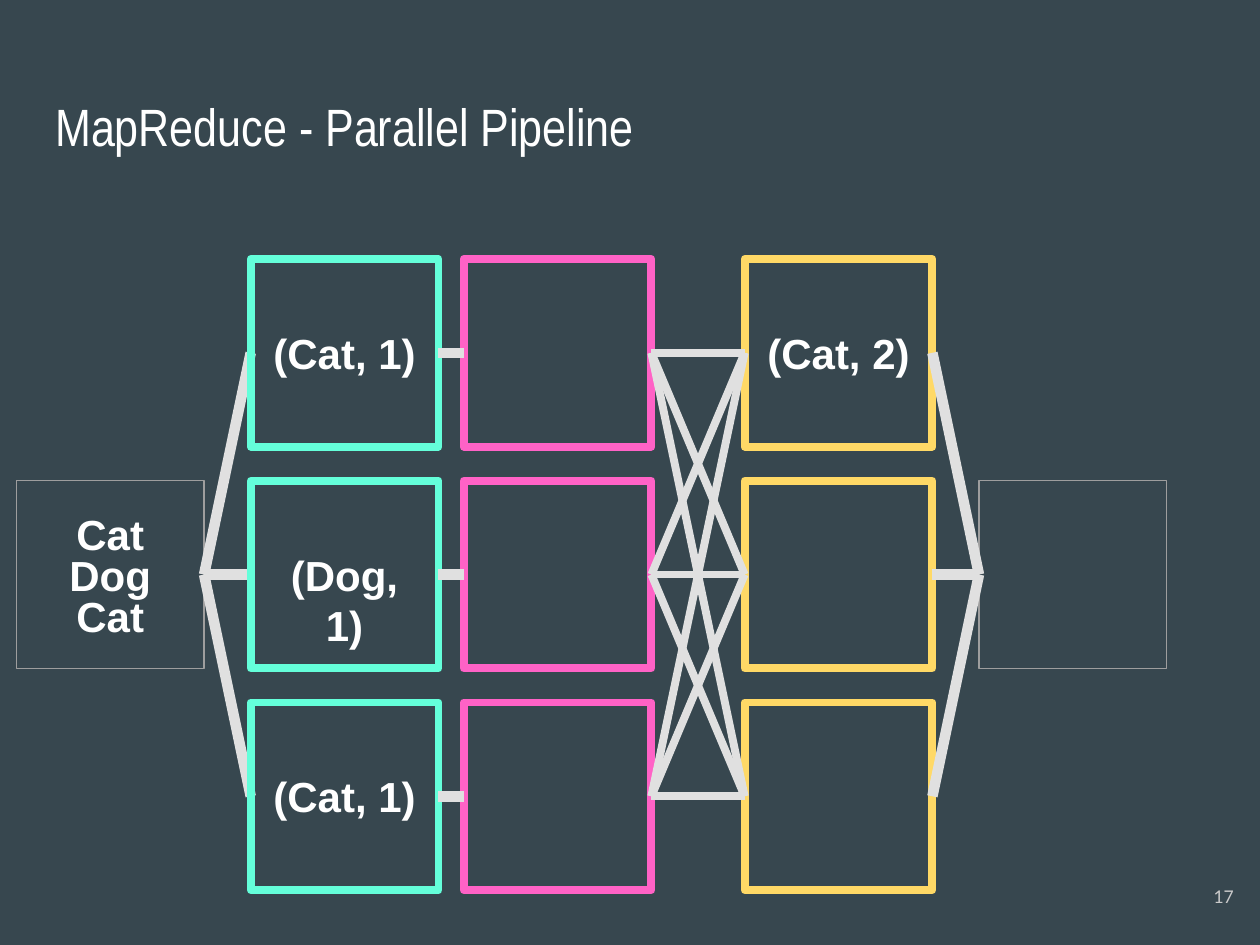
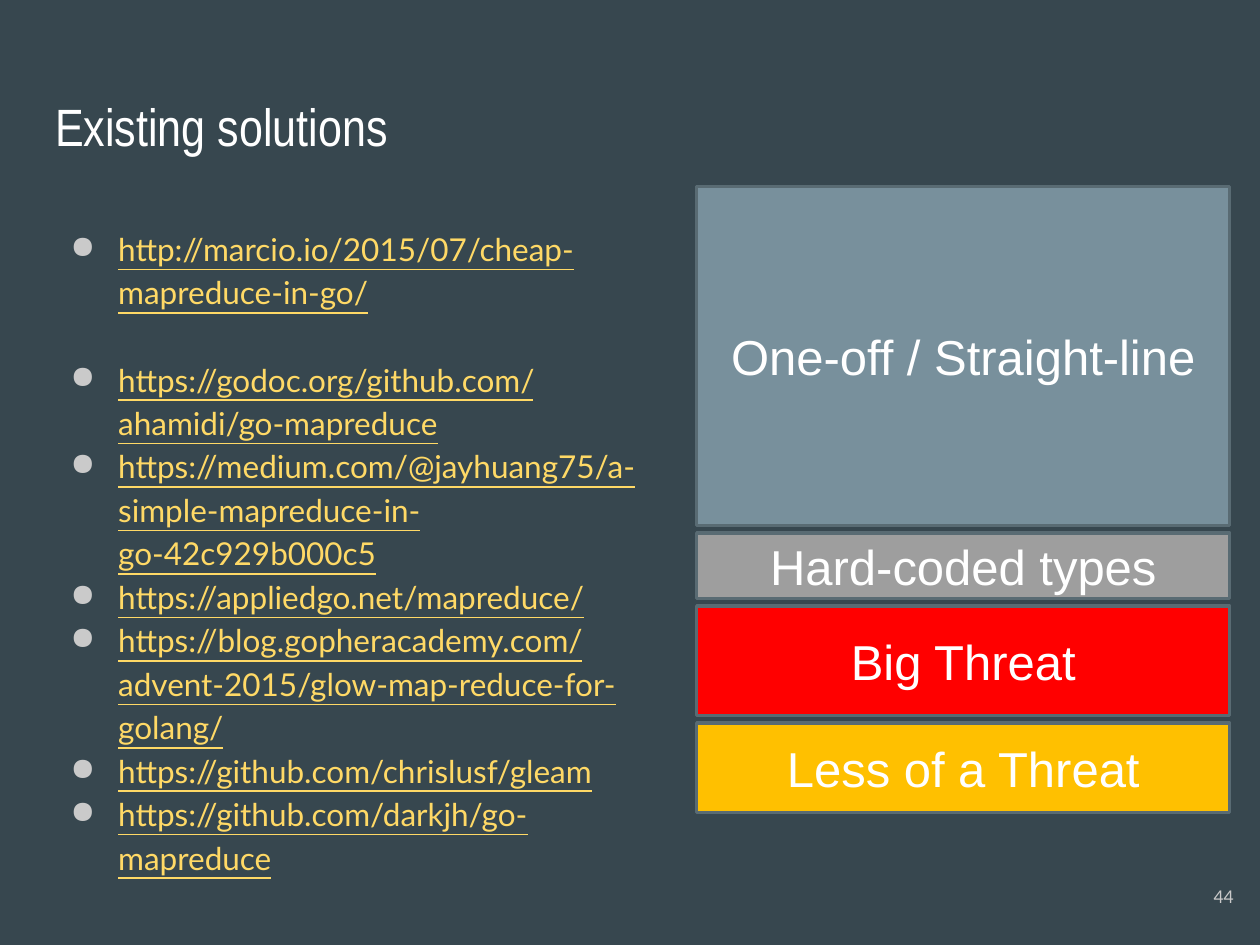
from itertools import product

from lxml.etree import SubElement
from pptx import Presentation
from pptx.dml.color import RGBColor
from pptx.enum.shapes import MSO_CONNECTOR as Connector, MSO_SHAPE as Preset
from pptx.enum.text import MSO_ANCHOR as Anchor, PP_ALIGN as Align
from pptx.oxml.ns import qn
from pptx.util import Inches, Pt

COLORS = {
    "background": "37474F",
    "text": "FFFFFF",
    "muted": "CACACA",
    "store": "9E9E9E",
    "map": "64FFDA",
    "shuffle": "FF62C6",
    "reduce": "FFD966",
    "flow": "E0E0E0",
    "link": "FFD966",
    "bar_line": "596B73",
    "one_off": "78909C",
    "hard_coded": "9E9E9E",
    "big_threat": "FF0000",
    "small_threat": "FFC000",
}

# The slide is a grid of 100 columns by 75 rows.
COLUMNS, ROWS = 100, 75
CELL = Inches(0.1)

# Pipeline: square stages in three lanes.
BOX = 14.9
LANES = [28 + 17.6 * lane for lane in range(3)]
MIDDLE = LANES[1:2]
STAGE_LEFT = {"source": 1.3, "map": 19.9, "shuffle": 36.8, "reduce": 59.1, "result": 77.7}
WORD_STEP = 3.25

LINKS = [
    "http://marcio.io/2015/07/cheap-mapreduce-in-go/",
    "https://godoc.org/github.com/ahamidi/go-mapreduce",
    "https://medium.com/@jayhuang75/a-simple-mapreduce-in-go-42c929b000c5",
    "https://appliedgo.net/mapreduce/",
    "https://blog.gopheracademy.com/advent-2015/glow-map-reduce-for-golang/",
    "https://github.com/chrislusf/gleam",
    "https://github.com/darkjh/go-mapreduce",
]
LINK_LINE = Pt(25)

BARS = [
    ("One-off / Straight-line", "one_off", 26.9),
    ("Hard-coded types", "hard_coded", 5.2),
    ("Big Threat", "big_threat", 8.7),
    ("Less of a Threat", "small_threat", 7.1),
]
BAR_LEFT, BAR_TOP, BAR_WIDTH, BAR_GAP = 55.3, 14.8, 42.3, 0.6


def cells(*counts):
    return [round(count * CELL) for count in counts]


def rgb(name):
    return RGBColor.from_string(COLORS[name])


def add_run(paragraph, text, size, color="text", font="Arial", bold=False):
    run = paragraph.add_run()
    run.text = text
    run.font.size = Pt(size)
    run.font.name = font
    run.font.bold = bold
    run.font.color.rgb = rgb(color)
    return run


def add_text_frame(slide, left, top, width, height, inset=0.1):
    frame = slide.shapes.add_textbox(*cells(left, top, width, height)).text_frame
    frame.word_wrap = True
    frame.margin_left = frame.margin_right = Inches(inset)
    frame.margin_top = frame.margin_bottom = Inches(inset)
    return frame


def add_base_slide(presentation, title, number):
    """Add a slide with the shared background, title and page number."""
    slide = presentation.slides.add_slide(presentation.slide_layouts[6])
    slide.background.fill.solid()
    slide.background.fill.fore_color.rgb = rgb("background")
    title_frame = add_text_frame(slide, 3.4, 6.5, 93.2, 8.3)
    add_run(title_frame.paragraphs[0], title, 30, font="Arial Narrow")
    number_frame = add_text_frame(slide, 92.9, 68.3, 6, 5.7)
    number_frame.vertical_anchor = Anchor.MIDDLE
    number_frame.paragraphs[0].alignment = Align.RIGHT
    add_run(number_frame.paragraphs[0], number, 10, "muted", "Lato")
    return slide


def add_box(slide, left, top, width, height, line, weight, fill=None):
    box = slide.shapes.add_shape(Preset.RECTANGLE, *cells(left, top, width, height))
    box.shadow.inherit = False
    if fill:
        box.fill.solid()
        box.fill.fore_color.rgb = rgb(fill)
    else:
        box.fill.background()
    box.line.color.rgb = rgb(line)
    box.line.width = Pt(weight)
    SubElement(box.line._get_or_add_ln(), qn("a:round"))
    return box


def add_stage(slide, stage, lanes, line, weight=4.5):
    for center in lanes:
        add_box(slide, STAGE_LEFT[stage], center - BOX / 2, BOX, BOX, line, weight)


def add_flow(slide, start, end, lane_pairs, weight=6):
    """Join the right side of one stage to the left side of the next."""
    for from_row, to_row in lane_pairs:
        ends = cells(STAGE_LEFT[start] + BOX, from_row, STAGE_LEFT[end], to_row)
        connector = slide.shapes.add_connector(Connector.STRAIGHT, *ends)
        connector.line.color.rgb = rgb("flow")
        connector.line.width = Pt(weight)
        SubElement(connector._element.spPr, qn("a:effectLst"))


def add_label(slide, text, stage, row, width=13.4):
    """Centre a bold label on a row of a stage."""
    left = STAGE_LEFT[stage] + (BOX - width) / 2
    frame = add_text_frame(slide, left, row - 2.5, width, 5, inset=0.05)
    frame.word_wrap = False
    frame.paragraphs[0].alignment = Align.CENTER
    add_run(frame.paragraphs[0], text, 24, bold=True)


def add_bullet(paragraph):
    properties = paragraph._p.get_or_add_pPr()
    properties.set("marL", str(Inches(0.5)))
    properties.set("indent", str(Inches(-0.38)))
    color = SubElement(properties, qn("a:buClr"))
    SubElement(color, qn("a:srgbClr"), val=COLORS["muted"])
    SubElement(properties, qn("a:buChar"), char="●")


def add_link_list(slide):
    frame = add_text_frame(slide, 3.4, 16.8, 49, 49.8)
    for index, link in enumerate(LINKS):
        paragraph = frame.add_paragraph() if index else frame.paragraphs[0]
        add_bullet(paragraph)
        paragraph.line_spacing = 1.15
        paragraph.space_after = Pt(0) if index else LINK_LINE
        add_run(paragraph, link, 18, "link", "Lato").font.underline = True


def add_bars(slide):
    top = BAR_TOP
    for text, fill, height in BARS:
        bar = add_box(slide, BAR_LEFT, top, BAR_WIDTH, height, "bar_line", 2, fill)
        bar.text_frame.word_wrap = True
        bar.text_frame.vertical_anchor = Anchor.MIDDLE
        bar.text_frame.paragraphs[0].alignment = Align.CENTER
        add_run(bar.text_frame.paragraphs[0], text, 28)
        top += height + BAR_GAP


def build_pipeline(presentation):
    slide = add_base_slide(presentation, "MapReduce - Parallel Pipeline", "17")
    add_stage(slide, "source", MIDDLE, "store", 0.75)
    add_stage(slide, "shuffle", LANES, "shuffle")
    add_flow(slide, "source", "map", product(MIDDLE, LANES))
    add_stage(slide, "reduce", LANES, "reduce")
    add_flow(slide, "shuffle", "reduce", product(LANES, LANES), 4.5)
    add_stage(slide, "result", MIDDLE, "store", 0.75)
    add_flow(slide, "reduce", "result", product(LANES, MIDDLE))
    add_stage(slide, "map", LANES, "map")
    add_flow(slide, "map", "shuffle", zip(LANES, LANES))

    for step, word in enumerate(["Cat", "Dog", "Cat"], start=-1):
        add_label(slide, word, "source", MIDDLE[0] + step * WORD_STEP, width=8)
    for row, pair in zip(LANES, ["(Cat, 1)", "(Dog, 1)", "(Cat, 1)"]):
        add_label(slide, pair, "map", row)
    add_label(slide, "(Cat, 2)", "reduce", LANES[0])


def build_solutions(presentation):
    slide = add_base_slide(presentation, "Existing solutions", "44")
    add_link_list(slide)
    add_bars(slide)


def main():
    presentation = Presentation()
    presentation.slide_width, presentation.slide_height = cells(COLUMNS, ROWS)
    build_pipeline(presentation)
    build_solutions(presentation)
    presentation.save("out.pptx")


if __name__ == "__main__":
    main()
